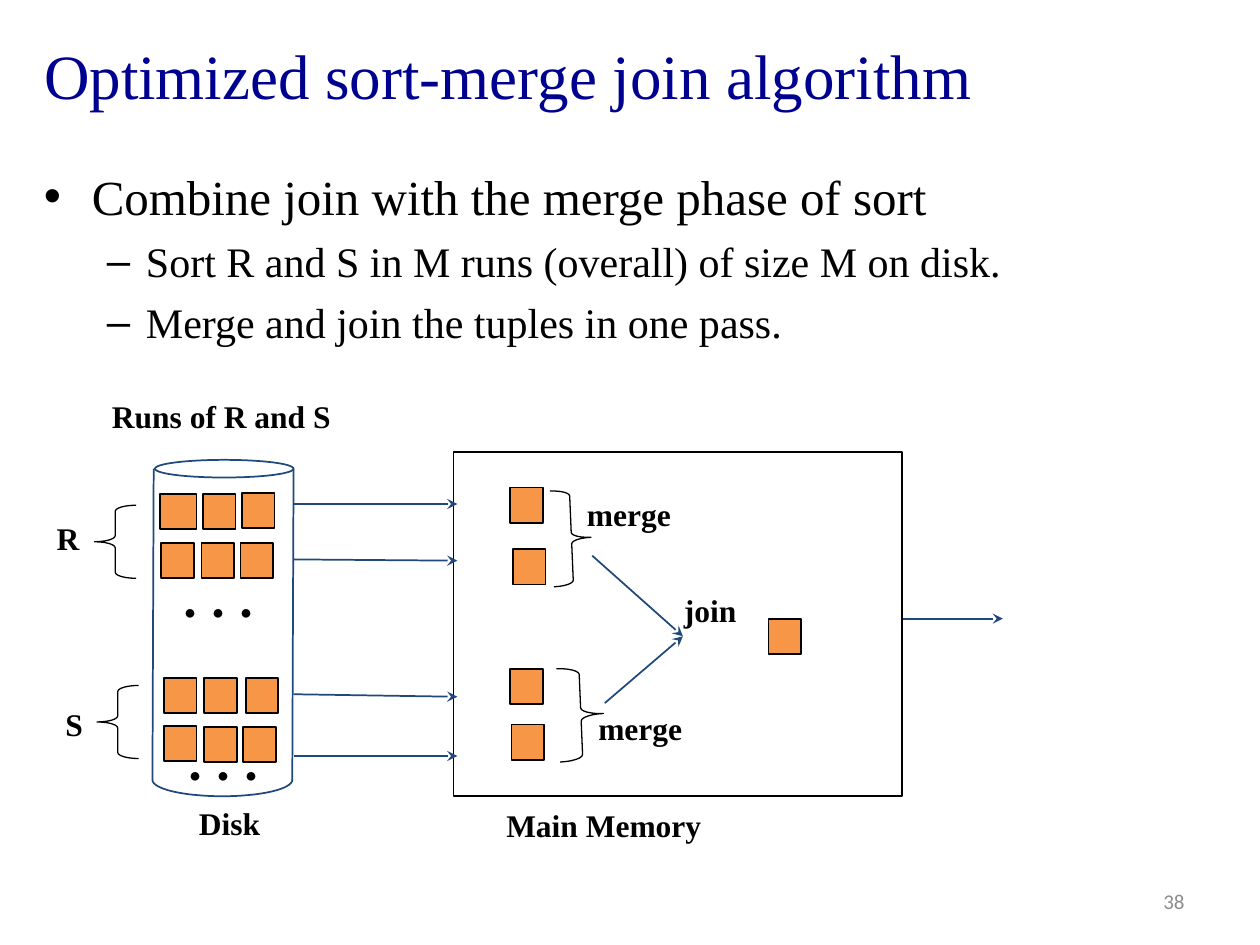
import math

import lxml.etree
import pptx
import pptx.dml.color
import pptx.enum.shapes
import pptx.enum.text
import pptx.oxml.ns
import pptx.util

Inches, Pt = pptx.util.Inches, pptx.util.Pt
RGBColor = pptx.dml.color.RGBColor
SHAPE = pptx.enum.shapes.MSO_SHAPE
STRAIGHT = pptx.enum.shapes.MSO_CONNECTOR.STRAIGHT
ANCHOR = pptx.enum.text.MSO_ANCHOR
ALIGN = pptx.enum.text.PP_ALIGN
qn = pptx.oxml.ns.qn

NAVY = RGBColor(0x00, 0x00, 0x90)
BLACK = RGBColor(0, 0, 0)
GRAY = RGBColor(0x8C, 0x8C, 0x8C)
ORANGE = RGBColor(0xF7, 0x96, 0x46)
BLUE = RGBColor(0x1F, 0x49, 0x7D)
SERIF = "Times New Roman"

prs = pptx.Presentation()
prs.slide_width, prs.slide_height = Inches(10), Inches(7.5)
s = prs.slides.add_slide(prs.slide_layouts[5])


def write(p, text, size=18, font=SERIF, color=BLACK, bold=False, align=ALIGN.LEFT):
    p.alignment = align
    r = p.add_run()
    r.text = text
    r.font.size, r.font.name, r.font.bold = Pt(size), font, bold
    r.font.color.rgb = color


def style(sp, line=BLACK, width=1, fill=None):
    sp.shadow.inherit = False
    sp.line.color.rgb = line
    sp.line.width = Pt(width)
    if fill is None:
        sp.fill.background()
    else:
        sp.fill.solid()
        sp.fill.fore_color.rgb = fill


# Title
title = s.shapes.title
title.left, title.top = Inches(0.25), Inches(0.05)
title.width, title.height = Inches(9.55), Inches(1.08)
title.text_frame.vertical_anchor = ANCHOR.MIDDLE
write(title.text_frame.paragraphs[0], "Optimized sort-merge join algorithm",
      size=36, color=NAVY)

# Bulleted text
body = s.shapes.add_textbox(Inches(0.25), Inches(1.27), Inches(9.55), Inches(1.68))
tf = body.text_frame
tf.word_wrap = True
points = [
    (0, "Combine join with the merge phase of sort"),
    (1, "Sort R and S in M runs (overall) of size M on disk."),
    (1, "Merge and join the tuples in one pass."),
]
for i, (level, text) in enumerate(points):
    p = tf.add_paragraph() if i else tf.paragraphs[0]
    margin, hang, bullet, size = [(0.38, 0.38, "•", 28), (0.81, 0.31, "–", 24)][level]
    p.level = level
    p.space_before = Pt(6)
    write(p, text, size=size)
    pPr = p._p.get_or_add_pPr()
    pPr.set("marL", str(Inches(margin)))
    pPr.set("indent", str(-Inches(hang)))
    lxml.etree.SubElement(pPr, qn("a:buFont")).set("typeface", "Arial")
    lxml.etree.SubElement(pPr, qn("a:buChar")).set("char", bullet)

# Disk: top ellipse, two sides and a half-ellipse bottom
disk_top = s.shapes.add_shape(SHAPE.OVAL, Inches(1.23), Inches(3.65),
                              Inches(1.1), Inches(0.14))
style(disk_top, line=BLUE)

arc = [(Inches(1.765 + 0.555 * math.cos(math.pi * i / 32)),
        Inches(6.19 + 0.13 * math.sin(math.pi * i / 32))) for i in range(33)]
builder = s.shapes.build_freeform(*arc[0])
builder.add_line_segments(arc[1:], close=False)
style(builder.convert_to_shape(), line=BLUE)

# Main memory
memory = s.shapes.add_shape(SHAPE.RECTANGLE, Inches(3.6), Inches(3.59),
                            Inches(3.56), Inches(2.73))
style(memory)

# Blocks on disk, in merge buffers and in the join output
disk_blocks = [
    (1.27, 3.92), (1.61, 3.92), (1.92, 3.91),
    (1.28, 4.31), (1.6, 4.31), (1.91, 4.31),
    (1.3, 5.38), (1.62, 5.38), (1.95, 5.38),
    (1.3, 5.76), (1.62, 5.77), (1.93, 5.77),
]
memory_blocks = [(4.05, 3.87), (4.07, 4.36), (4.05, 5.31), (4.06, 5.75), (6.1, 4.91)]
for x, y in disk_blocks + memory_blocks:
    width = 0.29 if (x, y) == disk_blocks[0] else 0.26
    block = s.shapes.add_shape(SHAPE.RECTANGLE, Inches(x), Inches(y),
                               Inches(width), Inches(0.28))
    style(block, fill=ORANGE)

# Braces
for x, y, w, h, rotation in [
    (0.75, 4.01, 0.33, 0.58, 0), (0.77, 5.44, 0.33, 0.58, 0),
    (4.38, 3.89, 0.31, 0.76, 177.6), (4.43, 5.3, 0.36, 0.74, 177.6),
]:
    brace = s.shapes.add_shape(SHAPE.LEFT_BRACE, Inches(x), Inches(y),
                               Inches(w), Inches(h))
    brace.adjustments[0] = 0.146
    brace.rotation = rotation
    style(brace, width=0.75)

# Disk sides, then arrows
disk_sides = [(1.22, 3.72, 1.21, 6.19), (2.33, 3.72, 2.32, 6.19)]
arrows = [
    (2.33, 4, 3.63, 4), (2.33, 4.44, 3.63, 4.45),
    (2.33, 5.51, 3.63, 5.53), (2.33, 6, 3.63, 6),
    (4.7, 4.41, 5.42, 5.05), (4.8, 5.58, 5.42, 5.05),
    (7.17, 4.91, 7.96, 4.91),
]
for ends in disk_sides + arrows:
    line = s.shapes.add_connector(STRAIGHT, *[Inches(v) for v in ends])
    line.line.color.rgb = BLUE
    line.line.width = Pt(1)
    if ends in arrows:
        ln = line.line._get_or_add_ln()
        lxml.etree.SubElement(ln, qn("a:tailEnd")).set("type", "stealth")
    lxml.etree.SubElement(line._element.spPr, qn("a:effectLst"))

# Labels
label = dict(bold=True)
dots = dict(bold=True, size=32, font="TeX Gyre Pagella")
for text, x, y, w, h, look in [
    ("Runs of R and S", 0.79, 3.1, 1.96, 0.4, label),
    ("R", 0.35, 4.07, 0.38, 0.4, label),
    ("S", 0.42, 5.55, 0.34, 0.4, label),
    ("Disk", 1.48, 6.33, 0.69, 0.4, label),
    ("Main Memory", 3.92, 6.35, 1.77, 0.4, label),
    ("merge", 4.56, 3.88, 0.88, 0.4, label),
    ("merge", 4.65, 5.58, 0.88, 0.4, label),
    ("join", 5.33, 4.64, 0.64, 0.4, label),
    (". . .", 1.36, 4.41, 0.76, 0.64, dots),
    (". . .", 1.4, 5.7, 0.76, 0.64, dots),
]:
    sp = s.shapes.add_textbox(Inches(x), Inches(y), Inches(w), Inches(h))
    sp.text_frame.word_wrap = False
    sp.text_frame.auto_size = pptx.enum.text.MSO_AUTO_SIZE.SHAPE_TO_FIT_TEXT
    write(sp.text_frame.paragraphs[0], text, **look)

# Slide number
number = s.shapes.add_textbox(Inches(7.17), Inches(6.95), Inches(2.33), Inches(0.4))
number.text_frame.word_wrap = True
number.text_frame.vertical_anchor = ANCHOR.MIDDLE
write(number.text_frame.paragraphs[0], "38", size=12, font="Calibri",
      color=GRAY, align=ALIGN.RIGHT)

prs.save("out.pptx")
